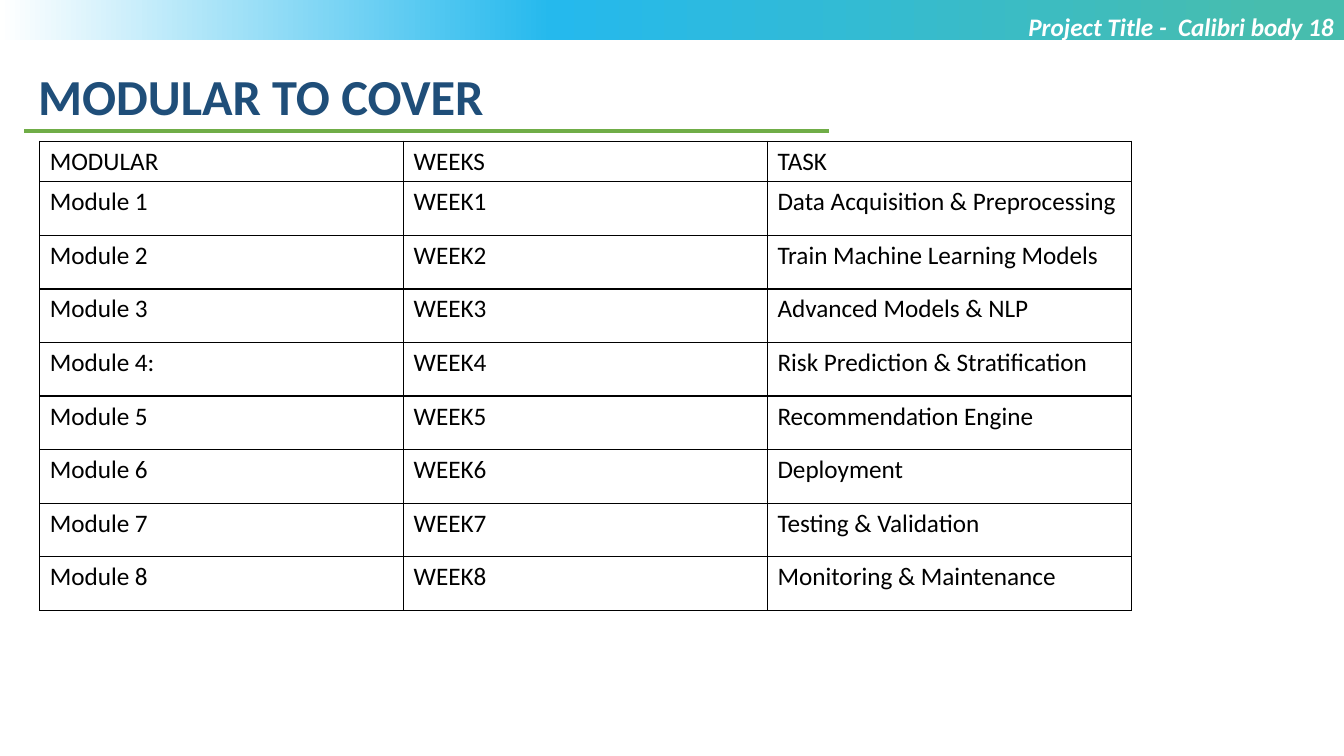
"""Build the module schedule slide."""
from copy import deepcopy
from dataclasses import dataclass

from lxml.etree import SubElement
from pptx import Presentation
from pptx.dml.color import RGBColor
from pptx.enum.shapes import MSO_CONNECTOR as Connector, MSO_SHAPE as Preset
from pptx.enum.text import PP_ALIGN as Align
from pptx.oxml.ns import qn
from pptx.slide import Slide
from pptx.table import _Cell as Cell
from pptx.text.text import _Paragraph as Paragraph
from pptx.util import Cm, Pt

FONT = "Calibri"
BLACK = "000000"
WHITE = "FFFFFF"
BAND_STOPS = [(0.05, "47BDAE"), (0.59, "25B9ED"), (1, WHITE)]
SLIDE_WIDTH = 33.87
COLUMN_WIDTH = 9.17
HEADER_HEIGHT, MODULE_HEIGHT = 1.02, 1.35


@dataclass
class Label:
    text: str
    left: float
    top: float
    width: float
    size: int
    color: str
    italic: bool = False
    align: Align = Align.LEFT


@dataclass
class Module:
    name: str
    week: str
    task: str


LABELS = [
    Label("MODULAR TO COVER", 0.71, 1.52, 29.51, 36, "1F4E79"),
    Label("Project Title -  Calibri body 18", 16.92, 0.15, 16.95, 18, WHITE, True, Align.RIGHT),
]
SCHEDULE = [
    Module("MODULAR", "WEEKS", "TASK"),
    Module("Module 1", "WEEK1", "Data Acquisition & Preprocessing"),
    Module("Module 2", "WEEK2", "Train Machine Learning Models"),
    Module("Module 3", "WEEK3", "Advanced Models & NLP"),
    Module("Module 4:", "WEEK4", "Risk Prediction & Stratification"),
    Module("Module 5", "WEEK5", "Recommendation Engine"),
    Module("Module 6", "WEEK6", "Deployment"),
    Module("Module 7", "WEEK7", "Testing & Validation"),
    Module("Module 8", "WEEK8", "Monitoring & Maintenance"),
]


def rgb(color: str) -> RGBColor:
    return RGBColor.from_string(color)


def set_font(paragraph: Paragraph, size: int, color: str) -> None:
    paragraph.font.name = FONT
    paragraph.font.size = Pt(size)
    paragraph.font.color.rgb = rgb(color)


def add_band(slide: Slide) -> None:
    band = slide.shapes.add_shape(Preset.RECTANGLE, 0, 0, Cm(SLIDE_WIDTH), Cm(1.02))
    band.shadow.inherit = False
    band.line.fill.background()
    band.fill.gradient()
    band.fill.gradient_angle = 180
    stop_list = band._element.spPr.find(".//" + qn("a:gsLst"))
    stop_list.append(deepcopy(stop_list[0]))
    for stop, (position, color) in zip(band.fill.gradient_stops, BAND_STOPS):
        stop.position = position
        stop.color.rgb = rgb(color)


def add_label(slide: Slide, label: Label) -> None:
    box = slide.shapes.add_textbox(Cm(label.left), Cm(label.top), Cm(label.width), Cm(1.8))
    box.text_frame.word_wrap = True
    paragraph = box.text_frame.paragraphs[0]
    paragraph.text = label.text
    paragraph.alignment = label.align
    set_font(paragraph, label.size, label.color)
    paragraph.font.bold = True
    paragraph.font.italic = label.italic


def add_title_rule(slide: Slide) -> None:
    rule = slide.shapes.add_connector(Connector.STRAIGHT, Cm(0.61), Cm(3.3), Cm(20.9), Cm(3.3))
    rule.line.color.rgb = rgb("70AD47")
    rule.line.width = Pt(2.25)
    SubElement(rule._element.spPr, qn("a:effectLst"))


def add_borders(cell: Cell) -> None:
    properties = cell._tc.get_or_add_tcPr()
    for side in ("L", "R", "T", "B"):
        border = SubElement(properties, qn(f"a:ln{side}"), w=str(Pt(1)))
        fill = SubElement(border, qn("a:solidFill"))
        SubElement(fill, qn("a:srgbClr"), val=BLACK)


def add_schedule(slide: Slide, modules: list[Module]) -> None:
    height = HEADER_HEIGHT + MODULE_HEIGHT * (len(modules) - 1)
    frame = slide.shapes.add_table(
        len(modules), 3, Cm(1), Cm(3.56), Cm(3 * COLUMN_WIDTH), Cm(height))
    table = frame.table
    table.horz_banding = False
    table.first_row = False
    for column in table.columns:
        column.width = Cm(COLUMN_WIDTH)
    for index, (row, module) in enumerate(zip(table.rows, modules)):
        row.height = Cm(MODULE_HEIGHT if index else HEADER_HEIGHT)
        for cell, text in zip(row.cells, (module.name, module.week, module.task)):
            cell.text = text
            set_font(cell.text_frame.paragraphs[0], 18, BLACK)
            add_borders(cell)
            cell.fill.background()


def main() -> None:
    presentation = Presentation()
    presentation.slide_width = Cm(SLIDE_WIDTH)
    presentation.slide_height = Cm(19.05)
    slide = presentation.slides.add_slide(presentation.slide_layouts[6])
    add_band(slide)
    for label in LABELS:
        add_label(slide, label)
    add_title_rule(slide)
    add_schedule(slide, SCHEDULE)
    presentation.save("out.pptx")


if __name__ == "__main__":
    main()
